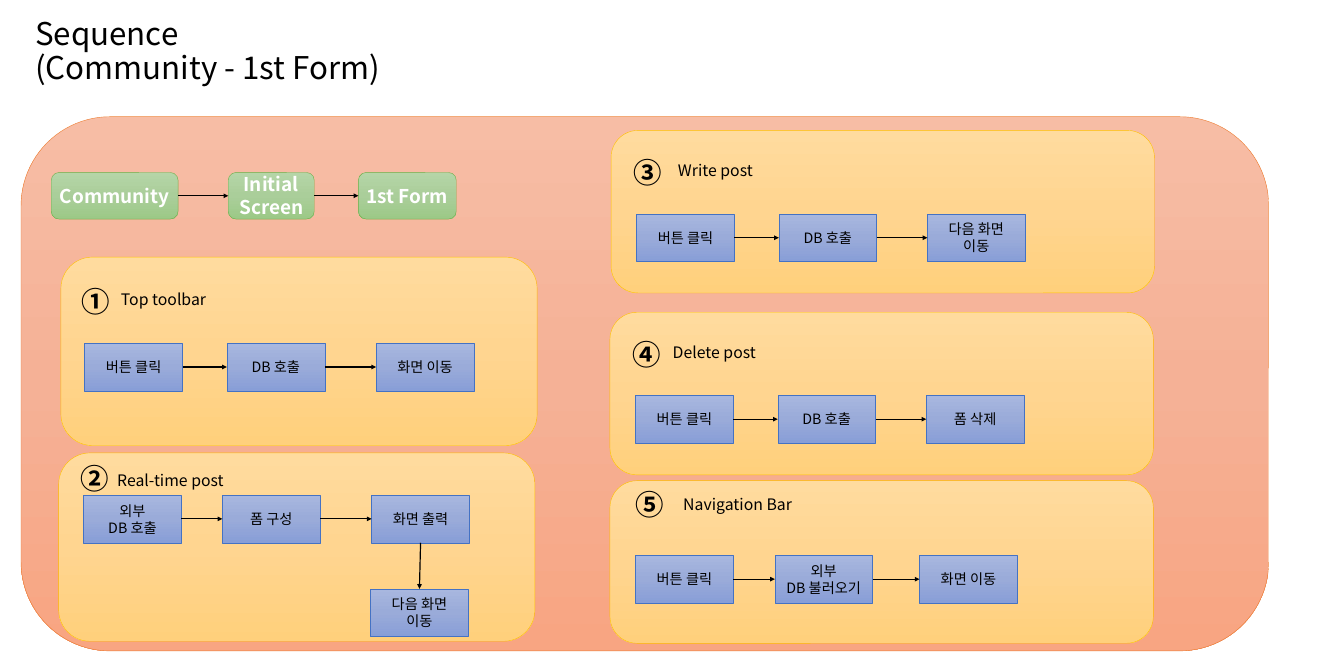
from lxml.etree import SubElement
from pptx import Presentation
from pptx.dml.color import RGBColor
from pptx.enum.shapes import MSO_CONNECTOR, MSO_SHAPE
from pptx.enum.text import MSO_ANCHOR, PP_ALIGN
from pptx.oxml.ns import qn
from pptx.util import Cm, Pt

FONT = "Noto Sans CJK KR"
COLORS = {"black": "000000", "white": "FFFFFF"}
# Gradient stops from top to bottom, then the outline
STYLES = {
    "frame": ("F7BDA5", "F5B196", "F8A582", "ED7D31"),
    "panel": ("FFDB9E", "FFD590", "FFD07C", "FFC000"),
    "screen": ("B5D5A7", "AACE9A", "9CC987", "70AD47"),
    "step": ("A8B7DF", "9AABD9", "889ED7", "4472C4"),
}
STEP_W, STEP_H = 4.37, 2.13
TOP, LEFT, BOTTOM, RIGHT = range(4)  # connection sites


def write(tf, text, size, color="black", bold=False, align=PP_ALIGN.CENTER):
    """Newlines part paragraphs, vertical tabs part lines."""
    tf.word_wrap = True
    for i, para in enumerate(text.split("\n")):
        p = tf.add_paragraph() if i else tf.paragraphs[0]
        p.alignment = align
        for j, line in enumerate(para.split("\v")):
            if j:
                p.add_line_break()
            r = p.add_run()
            r.text = line
            r.font.name, r.font.size, r.font.bold = FONT, Pt(size), bold
            r.font.color.rgb = RGBColor.from_string(COLORS[color])
            SubElement(r.font._element, qn("a:ea"), typeface=FONT)


def add_box(kind, x, y, w, h):
    *stops, outline = STYLES[kind]
    shape = MSO_SHAPE.RECTANGLE if kind == "step" else MSO_SHAPE.ROUNDED_RECTANGLE
    sp = s.shapes.add_shape(shape, Cm(x), Cm(y), Cm(w), Cm(h))
    sp.shadow.inherit = False
    sp.fill.gradient()
    sp.fill.gradient_angle = 270
    gs_list = sp._element.spPr.find(qn("a:gradFill")).find(qn("a:gsLst"))
    for gs in list(gs_list):
        gs_list.remove(gs)
    for pos, color in zip((0, 50000, 100000), stops):
        gs = SubElement(gs_list, qn("a:gs"), pos=str(pos))
        SubElement(gs, qn("a:srgbClr"), val=color)
    sp.line.color.rgb = RGBColor.from_string(outline)
    sp.line.width = Pt(0.5)
    sp.text_frame.vertical_anchor = MSO_ANCHOR.MIDDLE
    return sp


prs = Presentation()
prs.slide_width, prs.slide_height = Cm(60), Cm(30)
s = prs.slides.add_slide(prs.slide_layouts[6])
links = []  # (from shape, site, to shape, site)

# Frame and title
add_box("frame", 0.94, 5.21, 55.7, 23.85)
tf = s.shapes.add_textbox(Cm(1.32), Cm(0.51), Cm(23.27), Cm(3.66)).text_frame
tf.vertical_anchor = MSO_ANCHOR.MIDDLE
write(tf, "Sequence\v(Community - 1st Form)", 39.6, align=PP_ALIGN.LEFT)
tf.paragraphs[0].line_spacing = 0.9

# Path to the form
screens = []
for x, w, text in [(2.29, 5.66, "Community"), (10.19, 3.84, "Initial\nScreen"),
                   (16, 4.37, "1st Form")]:
    sp = add_box("screen", x, 7.7, w, 2.08)
    write(sp.text_frame, text, 24, "white", True)
    screens.append(sp)
links += [(a, RIGHT, b, LEFT) for a, b in zip(screens, screens[1:])]

# Numbered panels: panel box, number at, heading at and width, row top, steps
LEFT_SIZE, RIGHT_SIZE = (21.26, 8.41), (24.26, 7.26)
panels = [
    ((2.72, 11.48), LEFT_SIZE, "①", (3.66, 12.7), "Top toolbar", (4.62, 12.83, 5.36),
     15.32, [(3.78, "버튼 클릭"), (10.13, "DB 호출"), (16.79, "화면 이동")]),
    ((2.62, 20.22), LEFT_SIZE, "②", (3.61, 20.6), "Real-time post", (4.93, 20.88, 5.36),
     22.1, [(3.73, "외부\nDB 호출"), (9.93, "폼 구성"), (16.59, "화면 출력")]),
    ((27.28, 5.82), RIGHT_SIZE, "③", (28.27, 6.93), "Write post", (29.26, 7.06, 5.36),
     9.55, [(28.42, "버튼 클릭"), (34.77, "DB 호출"), (41.4, "다음 화면\n이동")]),
    ((27.23, 13.94), RIGHT_SIZE, "④", (28.22, 15.04), "Delete post", (29.21, 15.16, 5.36),
     17.65, [(28.37, "버튼 클릭"), (34.72, "DB 호출"), (41.35, "폼 삭제")]),
    ((27.23, 21.46), RIGHT_SIZE, "⑤", (28.37, 21.74), "Navigation Bar", (29.97, 21.97, 5.92),
     24.79, [(28.37, "버튼 클릭"), (34.59, "외부\nDB 불러오기"), (41.05, "화면 이동")]),
]
for at, size, number, number_at, heading, (hx, hy, hw), row_y, steps in panels:
    add_box("panel", *at, *size)
    nx, ny = number_at
    tf = s.shapes.add_textbox(Cm(nx), Cm(ny), Cm(2.44), Cm(1.55)).text_frame
    tf.margin_left = tf.margin_right = tf.margin_top = tf.margin_bottom = 0
    write(tf, number, 36, bold=True, align=PP_ALIGN.LEFT)
    tf = s.shapes.add_textbox(Cm(hx), Cm(hy), Cm(hw), Cm(1.12)).text_frame
    write(tf, heading, 20)

    places = [(x, row_y, text) for x, text in steps]
    if number == "②":  # the last step goes down
        places.append((16.54, 26.29, "다음 화면\n이동"))
    row = []
    for x, y, text in places:
        sp = add_box("step", x, y, STEP_W, STEP_H)
        write(sp.text_frame, text, 18)
        row.append(sp)
    links += [(a, RIGHT, b, LEFT) for a, b in zip(row[:3], row[1:3])]
    links += [(row[2], BOTTOM, sp, TOP) for sp in row[3:]]

# Arrows
for start, start_site, end, end_site in links:
    c = s.shapes.add_connector(MSO_CONNECTOR.STRAIGHT, 0, 0, 0, 0)
    c.begin_connect(start, start_site)
    c.end_connect(end, end_site)
    c.line.color.rgb = RGBColor.from_string(COLORS["black"])
    c.line.width = Pt(1.5)
    SubElement(c.line._get_or_add_ln(), qn("a:tailEnd"), type="triangle")
    SubElement(c._element.spPr, qn("a:effectLst"))

prs.save("out.pptx")
